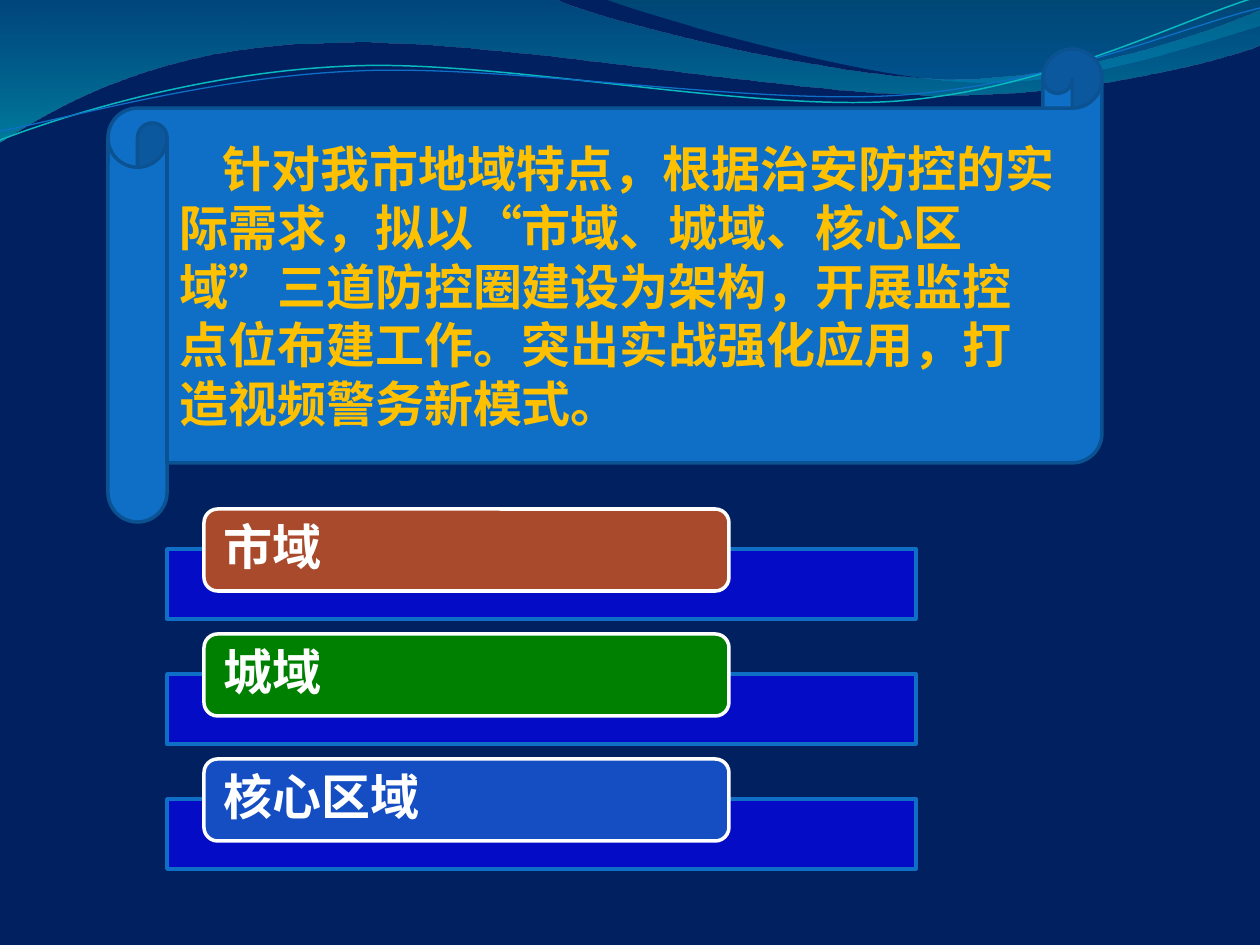
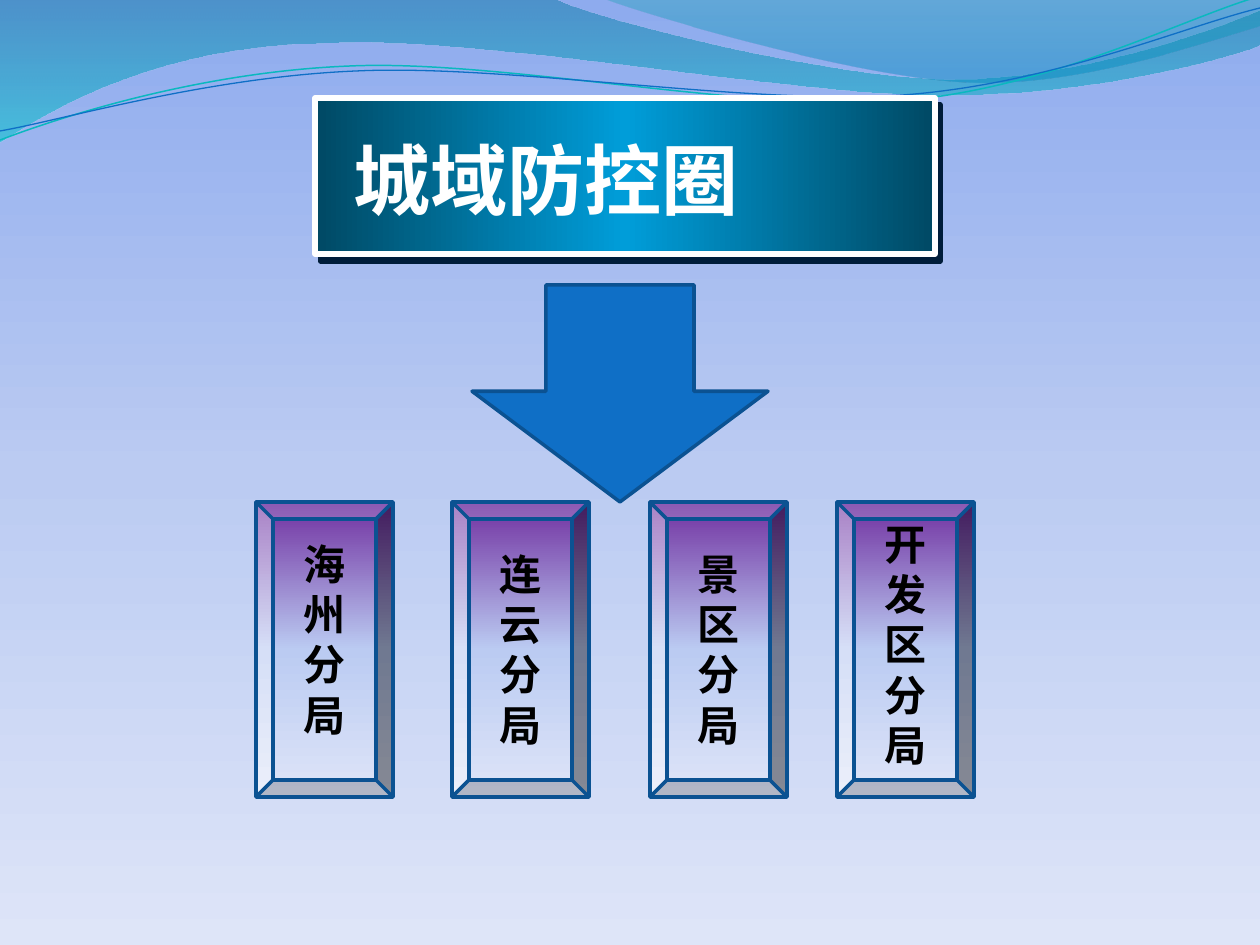
from lxml import etree
from pptx import Presentation
from pptx import util as u
from pptx.dml.color import RGBColor
from pptx.enum import shapes, text
from pptx.oxml import ns

SCALE = 914400 // 126  # EMU per pixel
SIZE = (1260, 945)
CJK_FONT, LABEL_FONT, TITLE_FONT = "Noto Sans CJK SC", "Vollkorn", "Calibri"
COLOURS = {
    "navy": "002060", "blue": "0F6FC6", "blue edge": "0B5292", "bar": "050AD1",
    "rust": "AA4A2C", "green": "008000", "royal": "144EC2", "white": "FFFFFF",
    "black": "000000", "gold": "FFC000", "teal line": "0AB8BF", "shadow": "001D3A",
}
# Gradients: stops of (position %, colour, opacity %), then clockwise angle
WAVE_LEFT = ([(0, "0074A1", 45), (100, "00C6CF", 55)], 90)
WAVE_RIGHT = ([(0, "00A1A9", 30), (80, "008BBF", 45)], 90)
SKY = ([(0, "8EABEE", 100), (50, "BBCBF2", 100), (100, "DEE5F8", 100)], 90)
PURPLE = ([(0, "7030A0", 100), (50, "BBCBF2", 100), (100, "DEE5F8", 100)], 90)
BANNER = ([(0, "004964", 100), (50, "009DD9", 100), (100, "004964", 100)], 0)

# Each path: a start, then steps of one point (line) or three (curve)
WAVES = [
    {"fill": WAVE_LEFT, "start": (0, 0), "steps": [
        [(554, -1)],
        [(600, 21), (837, 79), (955, 79)],
        [(1075, 79), (1207, 33), (1260, 11)],
        [(1261, 45)],
        [(1239, 55), (1096, 96), (940, 95)],
        [(784, 95), (481, 35), (324, 43)],
        [(163, 45), (58, 105), (-1, 142)]]},
    {"fill": WAVE_RIGHT, "start": (604, -1), "steps": [
        [(641, 14), (859, 78), (969, 82)],
        [(1079, 87), (1211, 40), (1260, 26)],
        [(1260, 0)]]},
    {"line": ("teal line", 0.85), "start": (0, 140), "steps": [
        [(60, 117), (199, 72), (349, 66)],
        [(498, 59), (747, 112), (898, 101)],
        [(1050, 89), (1182, 19), (1257, -3)]]},
    {"line": ("blue", 0.75), "start": (0, 131), "steps": [
        [(59, 121), (207, 77), (357, 71)],
        [(508, 64), (752, 106), (903, 95)],
        [(1053, 84), (1185, 26), (1260, 8)]]},
]

SCROLL_TEXT = ("针对我市地域特点，根据治安防控的实际需求，拟以“市域、城域、核心区域”三道防控圈"
               "建设为架构，开展监控点位布建工作。突出实战强化应用，打造视频警务新模式。")
TIERS = [("市域", "rust"), ("城域", "green"), ("核心区域", "royal")]
TIER_PITCH = 125
RING_TITLE = "城域防控圈"
# Paragraphs, panel left, text top, text height
BRANCHES = [
    (["海", "州", "分", "局"], 256, 532, 217),
    (["连云", "分", "局"], 452, 542, 217),
    (["景区", "分", "局"], 650, 542, 217),
    (["开发区", "分", "局"], 837, 512, 267),
]


def px(*values):
    """Turn pixels into EMU lengths."""
    return [u.Emu(value * SCALE) for value in values]


def rgb(name):
    """Look up a named colour."""
    return RGBColor.from_string(COLOURS[name])


def child(parent, tag, **attributes):
    """Append a DrawingML element."""
    return etree.SubElement(parent, ns.qn(tag), attributes)


def set_gradient(fill, owner, gradient):
    """Fill the owner of a fill format with gradient stops."""
    stops, angle = gradient
    fill.gradient()
    fill.gradient_angle = (360 - angle) % 360
    stop_list = owner.element.find(".//" + ns.qn("a:gsLst"))
    for old in list(stop_list):
        stop_list.remove(old)
    for position, colour, opacity in stops:
        stop = child(stop_list, "a:gs", pos=str(position * 1000))
        colour_element = child(stop, "a:srgbClr", val=colour)
        if opacity < 100:
            child(colour_element, "a:alpha", val=str(opacity * 1000))


def paint(shape, fill=None, line=None):
    """Set fill (name, gradient or none) and line (name, points) of a shape."""
    shape.shadow.inherit = False
    if fill is None:
        shape.fill.background()
    elif isinstance(fill, str):
        shape.fill.solid()
        shape.fill.fore_color.rgb = rgb(fill)
    else:
        set_gradient(shape.fill, shape, fill)
    if line is None:
        shape.line.fill.background()
    else:
        shape.line.color.rgb = rgb(line[0])
        shape.line.width = u.Pt(line[1])


def add_box(slide, kind, box, fill, line):
    """Add a painted preset shape."""
    shape = slide.shapes.add_shape(kind, *px(*box))
    paint(shape, fill, line)
    return shape


def write(shape, paragraphs, size, colour, font, align, indent=0, margin=0):
    """Write bold paragraphs with one format."""
    frame = shape.text_frame
    frame.word_wrap = True
    frame.text = "\n".join(paragraphs)
    for paragraph in frame.paragraphs:
        paragraph.alignment = align
        properties = paragraph._p.get_or_add_pPr()
        properties.set("marL", str(margin * SCALE))
        properties.set("indent", str(indent * SCALE))
        for run in paragraph.runs:
            run.font.size, run.font.bold, run.font.name = u.Pt(size), True, font
            run.font.color.rgb = rgb(colour)
            child(run.font._element, "a:ea", typeface=CJK_FONT)
    return frame


def add_wave(slide, start, steps, fill=None, line=None):
    """Draw a path, joining each three-point step into a curve."""
    builder = slide.shapes.build_freeform(*start, scale=SCALE)
    builder.add_line_segments([point for step in steps for point in step], close=fill is not None)
    shape = builder.convert_to_shape()
    segments = iter(shape.element.findall(".//" + ns.qn("a:lnTo")))
    for step in steps:
        parts = [next(segments) for _ in step]
        if len(parts) == 3:
            curve = etree.Element(ns.qn("a:cubicBezTo"))
            parts[0].addprevious(curve)
            for part in parts:
                curve.append(part[0])
                part.getparent().remove(part)
    paint(shape, fill, line)
    return shape


def move_to_master(master, shape, number):
    """Make a shape part of the master so every slide shows it."""
    shape.element.find(".//" + ns.qn("p:cNvPr")).set("id", str(number))
    master.shapes.element.append(shape.element)


def build_overview(slide):
    """Scroll with the plan and the three tiers below it."""
    slide.background.fill.solid()
    slide.background.fill.fore_color.rgb = rgb("navy")
    preset = shapes.MSO_SHAPE
    for index, (label, colour) in enumerate(TIERS):
        offset = index * TIER_PITCH
        bar = add_box(slide, preset.RECTANGLE, (167, 549 + offset, 749, 70), "bar", ("blue", 2))
        child(bar.element.spPr.find(".//" + ns.qn("a:srgbClr")), "a:alpha", val="90000")
        tag = add_box(slide, preset.ROUNDED_RECTANGLE, (204, 509 + offset, 525, 82),
                      colour, ("white", 2))
        frame = write(tag, [label], 28, "white", LABEL_FONT, text.PP_ALIGN.LEFT)
        frame.paragraphs[0].line_spacing = 0.9
        frame.margin_left, frame.margin_right, frame.margin_top, frame.margin_bottom = px(16, 16, 0, 0)
    scroll = add_box(slide, preset.HORIZONTAL_SCROLL, (108, 49, 994, 473), "blue", ("blue edge", 2))
    write(scroll, [SCROLL_TEXT], 28, "gold", CJK_FONT, text.PP_ALIGN.LEFT, indent=43)


def build_ring(slide):
    """Title banner, arrow and the four branch panels."""
    set_gradient(slide.background.fill, slide, SKY)
    preset = shapes.MSO_SHAPE
    title = slide.shapes.title
    title.left, title.top, title.width, title.height = px(315, 98, 620, 156)
    paint(title, BANNER, ("white", 3))
    effects = title.element.spPr.find(ns.qn("a:effectLst"))
    shadow = child(effects, "a:outerShdw", dist=str(u.Pt(5)), dir=str(53 * 60000),
                   algn="ctr", rotWithShape="0")
    child(shadow, "a:srgbClr", val=COLOURS["shadow"])
    frame = write(title, [RING_TITLE], 44, "white", TITLE_FONT, text.PP_ALIGN.LEFT, margin=39)
    frame.vertical_anchor = text.MSO_ANCHOR.MIDDLE
    frame.margin_left, frame.margin_right, frame.margin_top, frame.margin_bottom = px(0, 0, 6, 0)

    arrow = add_box(slide, preset.DOWN_ARROW, (472, 285, 296, 217), "blue", ("blue edge", 2))
    arrow.adjustments[0], arrow.adjustments[1] = 0.5, 0.51
    for _, left, _, _ in BRANCHES:
        add_box(slide, preset.BEVEL, (left, 502, 137, 295), PURPLE, ("blue edge", 2))
    for paragraphs, left, top, height in BRANCHES:
        label = slide.shapes.add_textbox(*px(left + 20, top, 97, height))
        write(label, paragraphs, 24, "black", LABEL_FONT, text.PP_ALIGN.CENTER)


def main():
    """Build both slides and save them."""
    presentation = Presentation()
    presentation.slide_width, presentation.slide_height = px(*SIZE)
    title_only, blank = presentation.slide_layouts[5], presentation.slide_layouts[6]
    overview = presentation.slides.add_slide(blank)
    for number, wave in enumerate(WAVES, start=20):
        move_to_master(presentation.slide_master, add_wave(overview, **wave), number)
    build_overview(overview)
    build_ring(presentation.slides.add_slide(title_only))
    presentation.save("out.pptx")


main()
